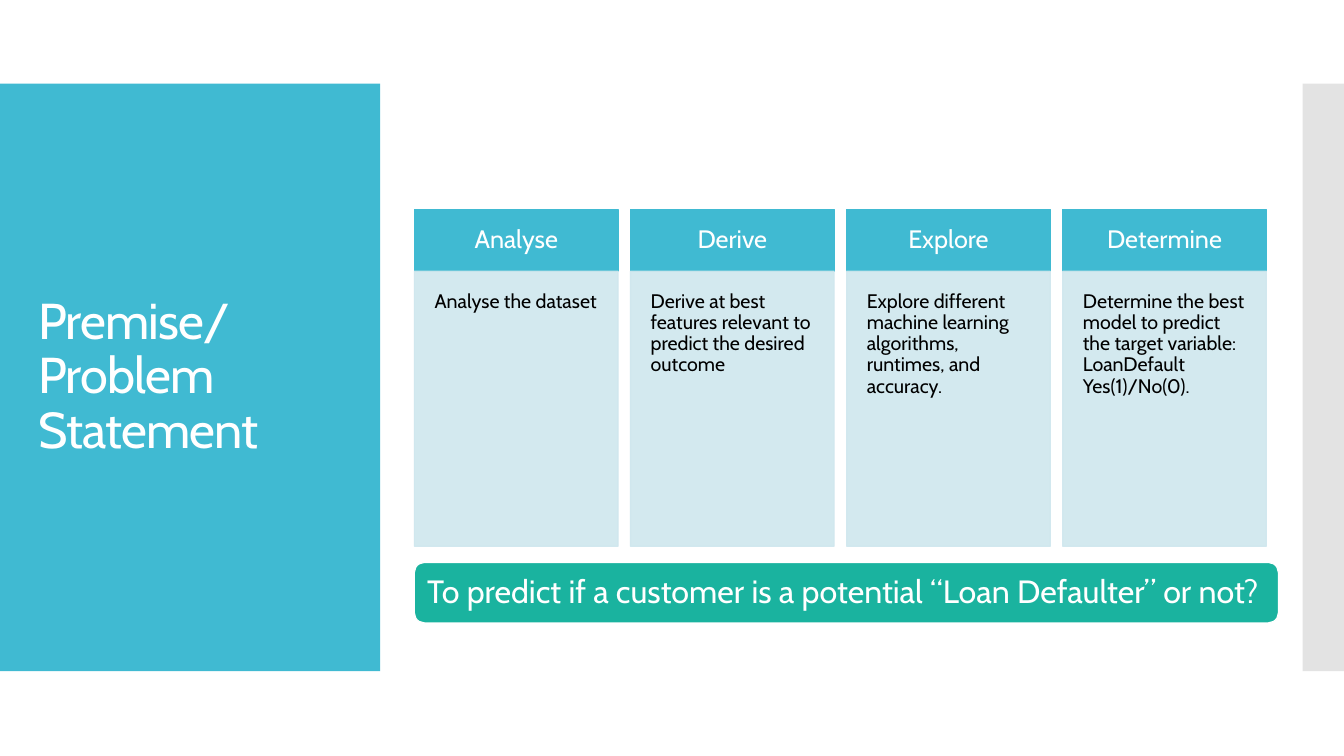
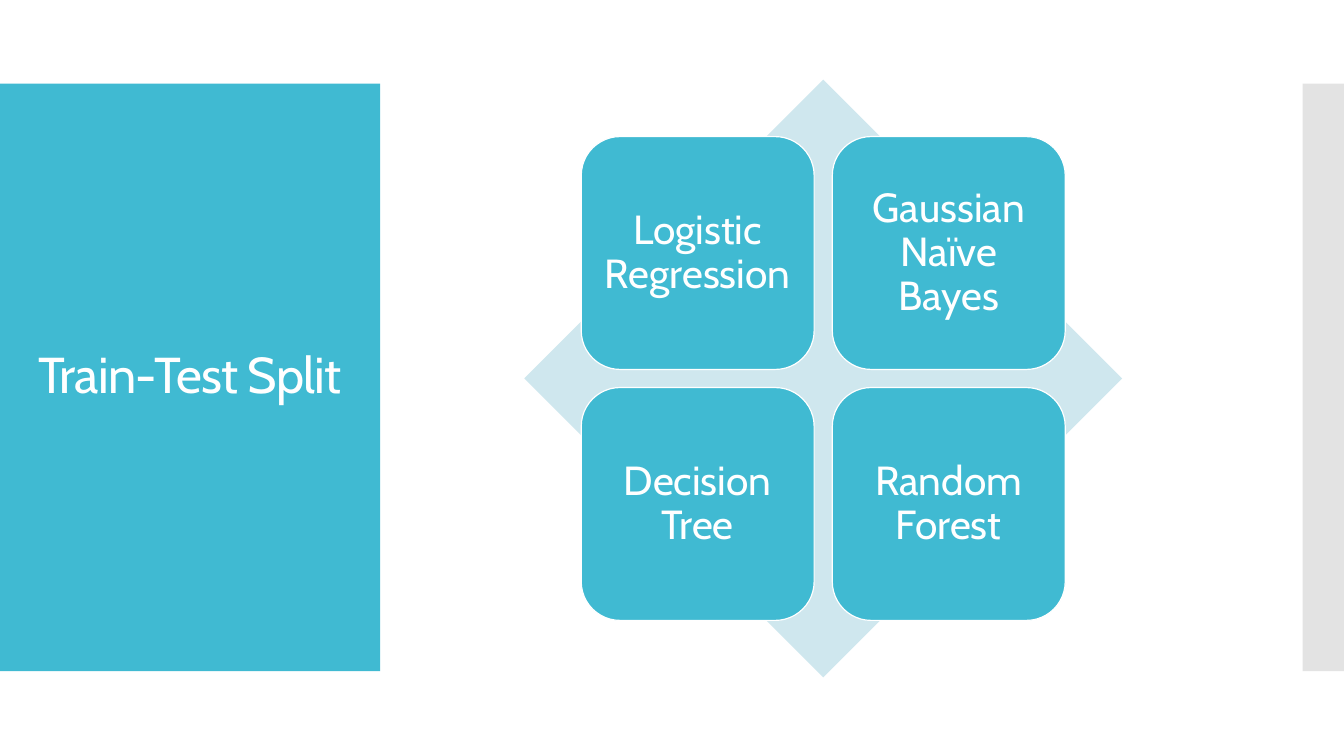
from lxml.etree import SubElement
from pptx import Presentation
from pptx.dml.color import RGBColor
from pptx.enum.shapes import MSO_SHAPE
from pptx.enum.text import MSO_ANCHOR, MSO_AUTO_SIZE, PP_ALIGN
from pptx.oxml.ns import qn
from pptx.util import Inches, Pt

FONT = "Cabin"
BLUE, PALE, GREEN = "40BAD2", "CFE7EE", "1AB39F"
GREY, WHITE, BLACK = "C8C8C8", "FFFFFF", "000000"

PREMISE_TITLE = "Premise/\vProblem Statement"
STEPS = [
    ("Analyse", "Analyse the dataset"),
    ("Derive", "Derive at best features relevant to predict the desired outcome"),
    ("Explore", "Explore different machine learning algorithms, runtimes, and accuracy."),
    ("Determine", "Determine the best model to predict the target variable: "
                  "LoanDefault Yes(1)/No(0)."),
]
QUESTION = "To predict if a customer is a potential “Loan Defaulter” or not?"

SPLIT_TITLE = "Train-Test Split"
MODELS = [
    ["Logistic Regression", "Gaussian Naïve Bayes"],
    ["Decision Tree", "Random Forest"],
]


def color(value):
    return RGBColor.from_string(value)


def place(shape, left, top, width, height):
    shape.left, shape.top = Inches(left), Inches(top)
    shape.width, shape.height = Inches(width), Inches(height)


def add_block(slide, kind, box, fill, line=None, opacity=100):
    shape = slide.shapes.add_shape(kind, *[Inches(value) for value in box])
    shape.shadow.inherit = False
    shape.fill.solid()
    shape.fill.fore_color.rgb = color(fill)
    if line:
        shape.line.color.rgb = color(line)
        shape.line.width = Pt(0.85)
    else:
        shape.line.fill.background()
    if opacity < 100:
        for paint in shape.element.xpath("./p:spPr//a:srgbClr"):
            SubElement(paint, qn("a:alpha")).set("val", str(opacity * 1000))
    return shape


def write(shape, text, size, text_color=WHITE, align=PP_ALIGN.LEFT,
          anchor=MSO_ANCHOR.MIDDLE, inset=0.1):
    frame = shape.text_frame
    frame.text = text
    frame.word_wrap = True
    frame.auto_size = MSO_AUTO_SIZE.NONE
    frame.vertical_anchor = anchor
    frame.margin_left = frame.margin_right = Inches(inset)
    frame.margin_top = frame.margin_bottom = Inches(inset)
    paragraph = frame.paragraphs[0]
    paragraph.alignment = align
    paragraph.line_spacing = 0.9
    for run in paragraph.runs:
        run.font.name = FONT
        run.font.size = Pt(size)
        run.font.color.rgb = color(text_color)


def prepare_layout(layout, slide):
    bands = [
        add_block(slide, MSO_SHAPE.RECTANGLE, (0, 0.83, 3.77, 5.83), BLUE),
        add_block(slide, MSO_SHAPE.RECTANGLE, (12.92, 0.83, 0.42, 5.83), GREY, opacity=50),
    ]
    for index, band in enumerate(bands):
        band.element.xpath("./p:nvSpPr/p:cNvPr")[0].set("id", str(101 + index))
        layout.shapes.element.insert(2 + index, band.element)
    place(layout.placeholders[0], 0.28, 1.23, 3.22, 5.03)


def add_title(slide, text):
    title = slide.shapes.title
    place(title, 0.28, 1.23, 3.22, 5.03)
    write(title, text, 36)
    for run in title.text_frame.paragraphs[0].runs:
        run.font.element.set("spc", "-60") if hasattr(run.font, "element") else \
            run._r.get_or_add_rPr().set("spc", "-60")


def fill_premise(slide):
    add_title(slide, PREMISE_TITLE)
    left, right, width = 4.11, 12.56, 2.02
    top, head_height, body_height = 2.08, 0.61, 2.73
    step = (right - left - width) / (len(STEPS) - 1)
    for index, (heading, detail) in enumerate(STEPS):
        x = left + index * step
        head = add_block(slide, MSO_SHAPE.RECTANGLE, (x, top, width, head_height), BLUE, BLUE)
        write(head, heading, 18, align=PP_ALIGN.CENTER, inset=0.16)
        body = add_block(slide, MSO_SHAPE.RECTANGLE,
                         (x, top + head_height, width, body_height), PALE, PALE, 90)
        write(body, detail, 14, BLACK, anchor=MSO_ANCHOR.TOP, inset=0.2)
    banner = add_block(slide, MSO_SHAPE.ROUNDED_RECTANGLE, (left, 5.58, 8.57, 0.6), GREEN, WHITE)
    write(banner, QUESTION, 23)


def fill_split(slide):
    add_title(slide, SPLIT_TITLE)
    left, top, span = 5.2, 0.79, 5.93
    side, gap = 2.31, 0.18
    margin = (span - 2 * side - gap) / 2
    add_block(slide, MSO_SHAPE.DIAMOND, (left, top, span, span), PALE)
    for row, names in enumerate(MODELS):
        for column, name in enumerate(names):
            x = left + margin + column * (side + gap)
            y = top + margin + row * (side + gap)
            tile = add_block(slide, MSO_SHAPE.ROUNDED_RECTANGLE, (x, y, side, side), BLUE, WHITE)
            write(tile, name, 29, align=PP_ALIGN.CENTER, inset=0.12)


def main():
    presentation = Presentation()
    presentation.slide_width, presentation.slide_height = Inches(13.33), Inches(7.5)
    layout = presentation.slide_layouts[5]
    premise, split = [presentation.slides.add_slide(layout) for _ in range(2)]
    prepare_layout(layout, premise)
    fill_premise(premise)
    fill_split(split)
    presentation.save("out.pptx")


if __name__ == "__main__":
    main()
